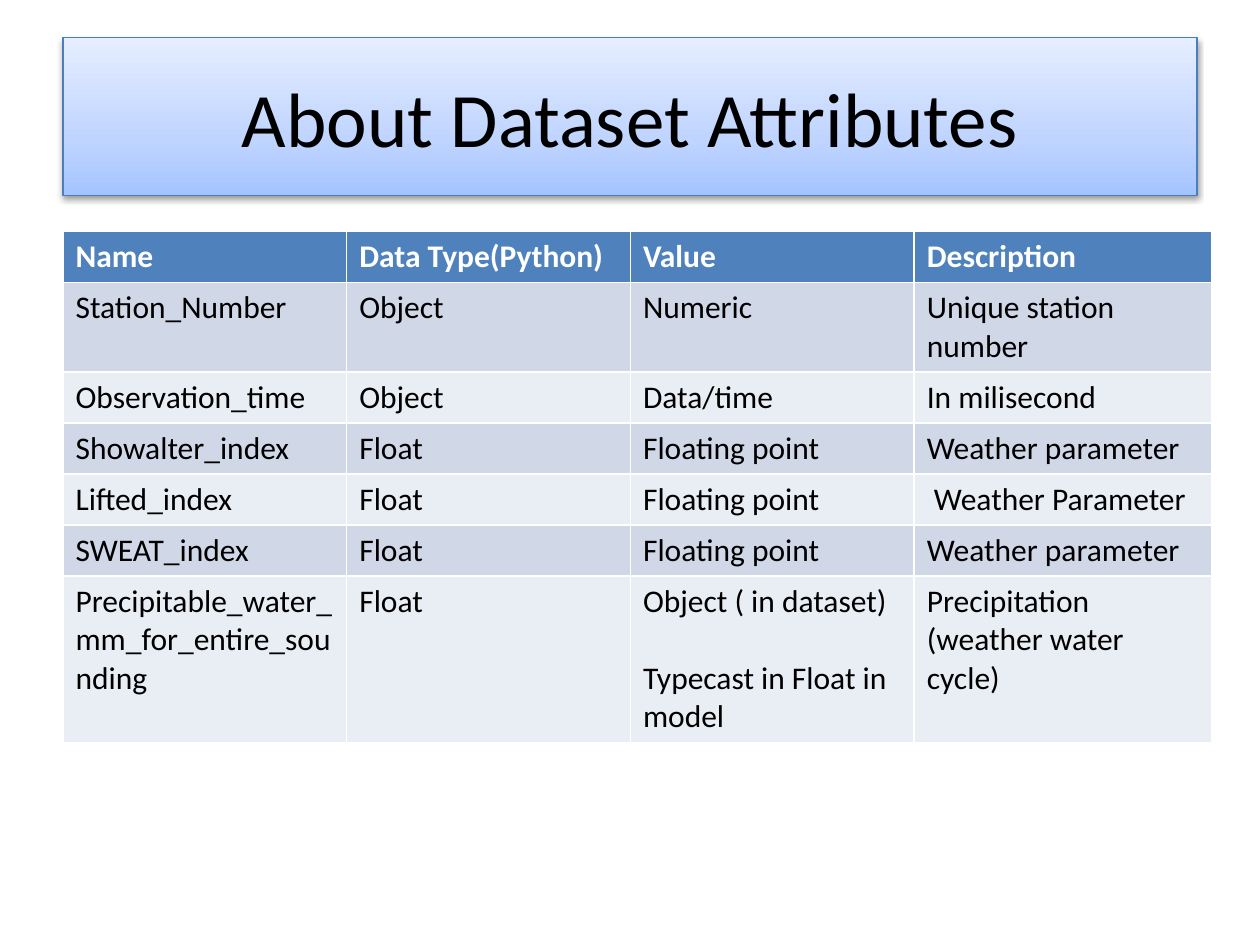
from dataclasses import dataclass

from lxml.etree import SubElement
from pptx import Presentation
from pptx.dml.color import RGBColor as RGB
from pptx.enum.shapes import MSO_SHAPE as SHAPE
from pptx.enum.text import MSO_ANCHOR as ANCHOR, PP_ALIGN as ALIGN
from pptx.oxml.ns import qn
from pptx.util import Cm, Pt


@dataclass(frozen=True)
class Theme:
    """Colours and type sizes of the slide."""
    font: str = "Calibri"
    title_size: int = 44
    table_size: int = 18
    text: str = "000000"
    header_text: str = "FFFFFF"
    header: str = "4F81BD"
    bands: tuple = ("D0D8E8", "E9EDF4")
    outline: str = "4B7EBC"
    gradient: tuple = ((0, "A4C4FF"), (35, "BFD4FF"), (100, "E6EEFF"))


THEME = Theme()
HEADER = ("Name", "Data Type(Python)", "Value", "Description")
ATTRIBUTES = (
    ("Station_Number", "Object", "Numeric", "Unique station number"),
    ("Observation_time", "Object", "Data/time", "In milisecond"),
    ("Showalter_index", "Float", "Floating point", "Weather parameter"),
    ("Lifted_index", "Float", "Floating point", " Weather Parameter"),
    ("SWEAT_index", "Float", "Floating point", "Weather parameter"),
    ("Precipitable_water_mm_for_entire_sounding", "Float",
     "Object ( in dataset)\nTypecast in Float in model",
     "Precipitation (weather water cycle)"),
)
COL_WIDTHS = (5.72, 5.72, 5.72, 5.99)
ROW_HEIGHT = 1.03


def style_text(p, size, color, bold=False):
    """Set the font of a paragraph."""
    p.font.name, p.font.size, p.font.bold = THEME.font, Pt(size), bold
    p.font.color.rgb = RGB.from_string(color)


def fill_gradient(sp, stops):
    """Fill a shape with a gradient that runs from bottom to top."""
    sp.fill.gradient()
    sp.fill.gradient_angle = 90
    gs_list = sp._element.spPr.find(qn("a:gradFill")).find(qn("a:gsLst"))
    for gs in list(gs_list):
        gs_list.remove(gs)
    for pos, color in stops:
        gs = SubElement(gs_list, qn("a:gs"), pos=str(pos * 1000))
        SubElement(gs, qn("a:srgbClr"), val=color)


def add_shadow(sp):
    """Give a shape a soft shadow below it."""
    sp.shadow.inherit = False
    effects = sp._element.spPr.find(qn("a:effectLst"))
    shadow = SubElement(effects, qn("a:outerShdw"), blurRad="40000", dist="20000",
                        dir="5400000", rotWithShape="0")
    color = SubElement(shadow, qn("a:srgbClr"), val="000000")
    SubElement(color, qn("a:alpha"), val="38000")


def add_title(s, text):
    """Add the title banner."""
    sp = s.shapes.add_shape(SHAPE.RECTANGLE, Cm(1.27), Cm(0.76), Cm(22.86), Cm(3.18))
    fill_gradient(sp, THEME.gradient)
    sp.line.color.rgb = RGB.from_string(THEME.outline)
    sp.line.width = Pt(0.75)
    add_shadow(sp)
    tf = sp.text_frame
    tf.word_wrap = True
    tf.vertical_anchor = ANCHOR.MIDDLE
    p = tf.paragraphs[0]
    p.text, p.alignment = text, ALIGN.CENTER
    style_text(p, THEME.title_size, THEME.text)


def fill_cell(cell, text, fill, color, bold):
    """Write one table cell, with a blank line's gap between paragraphs."""
    cell.fill.solid()
    cell.fill.fore_color.rgb = RGB.from_string(fill)
    tf = cell.text_frame
    tf.text = text
    for i, p in enumerate(tf.paragraphs):
        style_text(p, THEME.table_size, color, bold)
        if i:
            p.space_before = Pt(22)


def add_attribute_table(s):
    """Add the table of dataset attributes."""
    rows = (HEADER, *ATTRIBUTES)
    table = s.shapes.add_table(len(rows), len(HEADER), Cm(1.27), Cm(4.66),
                               Cm(sum(COL_WIDTHS)), Cm(ROW_HEIGHT * len(rows))).table
    for col, width in zip(table.columns, COL_WIDTHS):
        col.width = Cm(width)
    for i, row in enumerate(rows):
        table.rows[i].height = Cm(ROW_HEIGHT)
        is_header = i == 0
        fill = THEME.header if is_header else THEME.bands[(i - 1) % 2]
        color = THEME.header_text if is_header else THEME.text
        for j, text in enumerate(row):
            fill_cell(table.cell(i, j), text, fill, color, is_header)


def main():
    """Build and save the slide."""
    prs = Presentation()
    prs.slide_width, prs.slide_height = Cm(25.4), Cm(19.05)
    s = prs.slides.add_slide(prs.slide_layouts[6])
    add_title(s, "About Dataset Attributes")
    add_attribute_table(s)
    prs.save("out.pptx")


if __name__ == "__main__":
    main()
